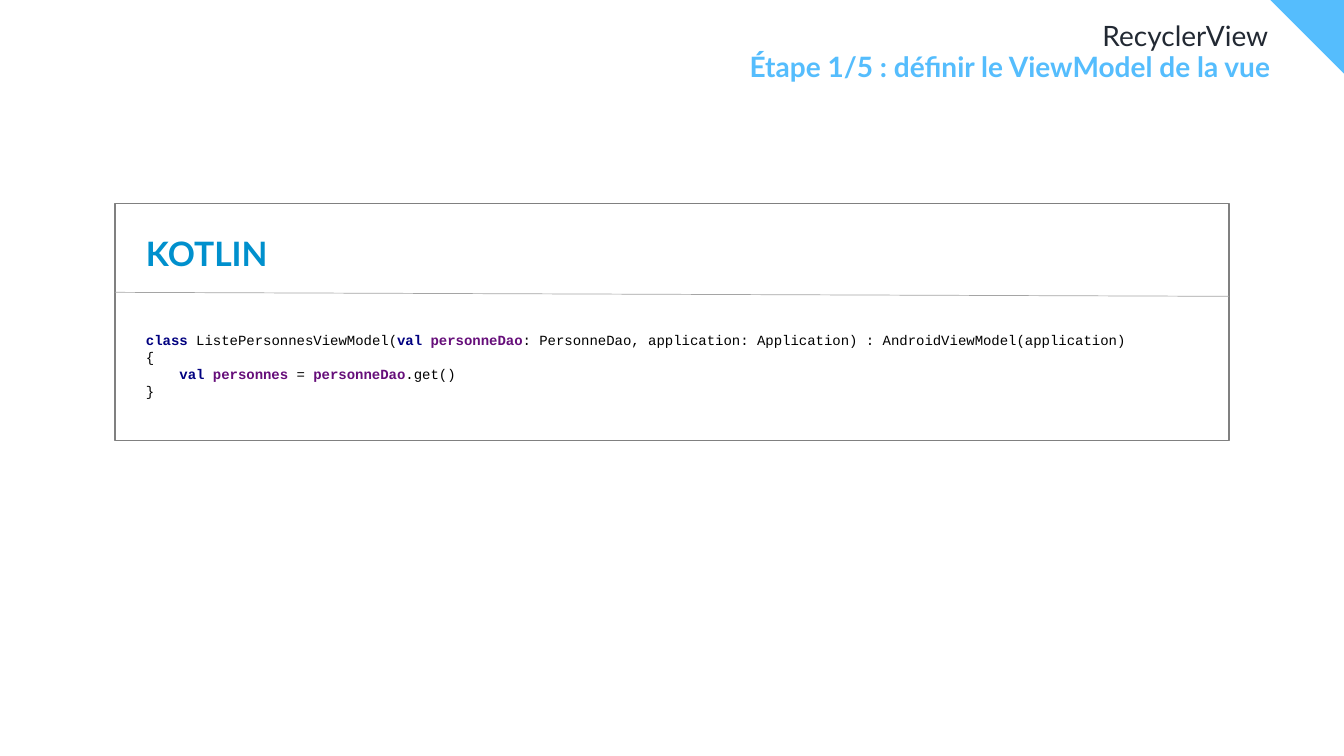
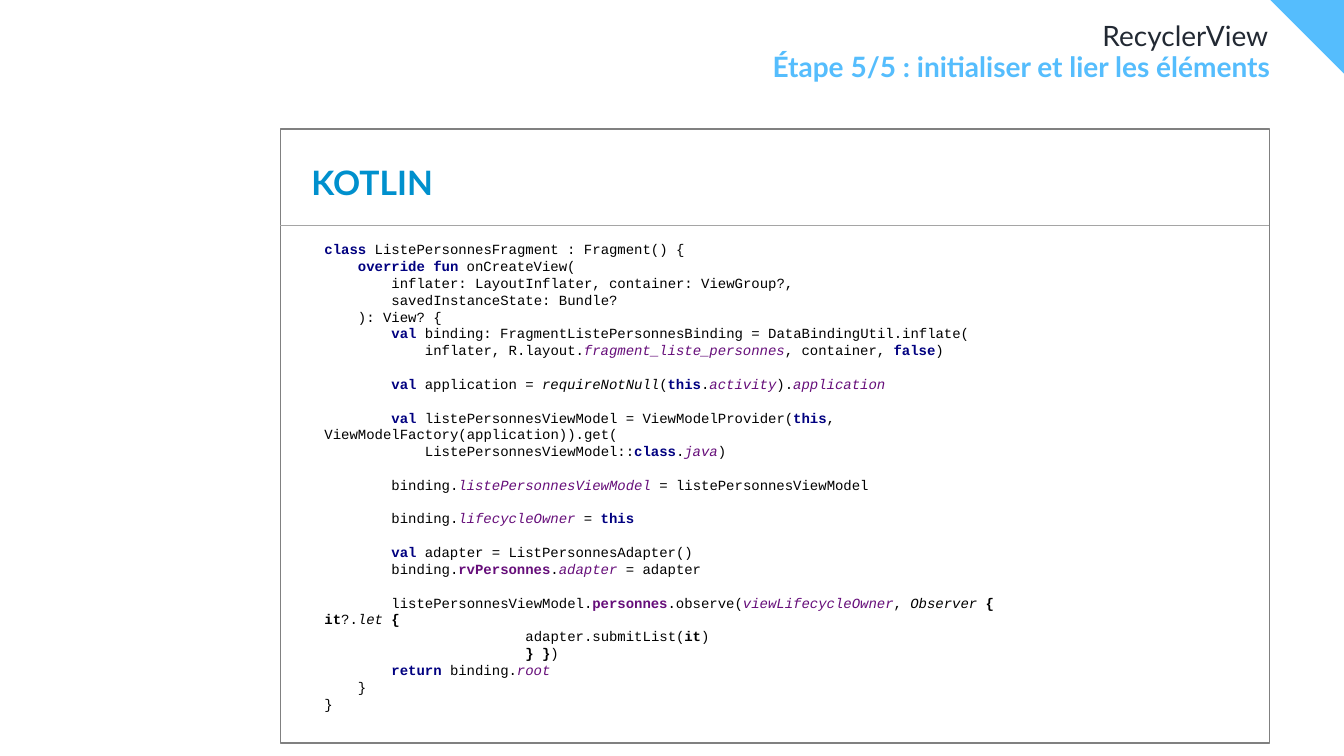
from lxml import etree
from pptx import Presentation
from pptx.dml.color import RGBColor
from pptx.enum.shapes import MSO_CONNECTOR, MSO_SHAPE
from pptx.enum.text import MSO_ANCHOR, MSO_AUTO_SIZE, PP_ALIGN
from pptx.oxml.ns import qn
from pptx.util import Inches, Pt

RIGHT = PP_ALIGN.RIGHT
LEFT = PP_ALIGN.LEFT
TOP = MSO_ANCHOR.TOP
MIDDLE = MSO_ANCHOR.MIDDLE
BOTTOM = MSO_ANCHOR.BOTTOM
NO_FIT = MSO_AUTO_SIZE.NONE
RECTANGLE = MSO_SHAPE.RECTANGLE
STRAIGHT = MSO_CONNECTOR.STRAIGHT

SKY = "55BDFD"
INK = "222933"
BLUE = "0090CD"
WHITE = "FFFFFF"
FRAME_GREY = "808080"
RULE_GREY = "A5A5A5"
BLACK = "000000"
NAVY = "000080"
PURPLE = "660E7A"

PLAIN = (BLACK, False, False)
STRONG = (BLACK, True, False)
CALL = (BLACK, False, True)
KEYWORD = (NAVY, True, False)
MEMBER = (PURPLE, True, False)
FIELD = (PURPLE, False, True)


def color(hex_string):
    return RGBColor.from_string(hex_string)


def style_paragraph(paragraph, font_name, size, hex_string=None, bold=None, align=LEFT):
    paragraph.alignment = align
    paragraph.font.name = font_name
    paragraph.font.size = Pt(size)
    if hex_string:
        paragraph.font.color.rgb = color(hex_string)
    paragraph.font.bold = bold


view_model_code = [
    (KEYWORD, "class "),
    (PLAIN, "ListePersonnesViewModel("),
    (KEYWORD, "val "),
    (MEMBER, "personneDao"),
    (PLAIN, ": PersonneDao, application: Application) : AndroidViewModel(application)\n{\n    "),
    (KEYWORD, "val "),
    (MEMBER, "personnes "),
    (PLAIN, "= "),
    (MEMBER, "personneDao"),
    (PLAIN, ".get()\n}"),
]

fragment_code = [
    (KEYWORD, "class "),
    (PLAIN, "ListePersonnesFragment : Fragment() {\n    "),
    (KEYWORD, "override fun "),
    (PLAIN, "onCreateView(\n        inflater: LayoutInflater, container: ViewGroup?,\n"
            "        savedInstanceState: Bundle?\n    ): View? {\n        "),
    (KEYWORD, "val "),
    (PLAIN, "binding: FragmentListePersonnesBinding = DataBindingUtil.inflate(\n"
            "            inflater, R.layout."),
    (FIELD, "fragment_liste_personnes"),
    (PLAIN, ", container, "),
    (KEYWORD, "false"),
    (PLAIN, ")\n\n        "),
    (KEYWORD, "val "),
    (PLAIN, "application = "),
    (CALL, "requireNotNull"),
    (PLAIN, "("),
    (KEYWORD, "this"),
    (PLAIN, "."),
    (FIELD, "activity"),
    (PLAIN, ")."),
    (FIELD, "application\n\n        "),
    (KEYWORD, "val "),
    (PLAIN, "listePersonnesViewModel = ViewModelProvider("),
    (KEYWORD, "this"),
    (PLAIN, ",\nViewModelFactory(application)).get(\n            ListePersonnesViewModel::"),
    (KEYWORD, "class"),
    (PLAIN, "."),
    (FIELD, "java"),
    (PLAIN, ")\n\n        binding."),
    (FIELD, "listePersonnesViewModel "),
    (PLAIN, "= listePersonnesViewModel\n\n        binding."),
    (FIELD, "lifecycleOwner "),
    (PLAIN, "= "),
    (KEYWORD, "this\n\n        val "),
    (PLAIN, "adapter = ListPersonnesAdapter()\n        binding."),
    (MEMBER, "rvPersonnes"),
    (PLAIN, "."),
    (FIELD, "adapter "),
    (PLAIN, "= adapter\n\n        listePersonnesViewModel."),
    (MEMBER, "personnes"),
    (PLAIN, ".observe("),
    (FIELD, "viewLifecycleOwner"),
    (PLAIN, ", "),
    (CALL, "Observer "),
    (STRONG, "{\nit"),
    (PLAIN, "?."),
    (CALL, "let "),
    (STRONG, "{\n"),
    (PLAIN, "                        adapter.submitList("),
    (STRONG, "it"),
    (PLAIN, ")\n                        "),
    (STRONG, "} }"),
    (PLAIN, ")\n        "),
    (KEYWORD, "return "),
    (PLAIN, "binding."),
    (FIELD, "root\n    "),
    (PLAIN, "}\n}"),
]

steps = [
    {
        "heading": "Étape 1/5 : définir le ViewModel de la vue",
        "frame": (1.14, 2.02, 11.05, 2.35),
        "rule": (2.9, 2.94),
        "label": (1.35, 2.07, 1.46, 0.69),
        "code_box": (1.35, 3.24, 10.2, 0.77),
        "code": view_model_code,
    },
    {
        "heading": "Étape 5/5 : initialiser et lier les éléments",
        "frame": (2.78, 1.28, 9.81, 6.09),
        "rule": (2.24, 2.24),
        "label": (2.99, 1.31, 1.46, 0.75),
        "code_box": (3.12, 2.32, 7.03, 4.81),
        "code": fragment_code,
    },
]

deck = Presentation()
deck.slide_width = Inches(13.33)
deck.slide_height = Inches(7.5)
layout = deck.slide_layouts[0]

heading_places = [(0.37, 0.22, 12.21, 0.31), (0.37, 0.53, 12.23, 0.43)]
for holder, place in zip(layout.placeholders, heading_places):
    holder.left, holder.top, holder.width, holder.height = map(Inches, place)

for number, step in enumerate(steps):
    slide = deck.slides.add_slide(layout)

    if number == 0:
        outline = slide.shapes.build_freeform(Inches(12.6), 0)
        outline.add_line_segments([(Inches(13.33), 0), (Inches(13.33), Inches(0.73))])
        corner = outline.convert_to_shape()
        corner.shadow.inherit = False
        corner.fill.solid()
        corner.fill.fore_color.rgb = color(SKY)
        corner.line.fill.background()
        layout.shapes.element.append(corner.element)

    headings = [("RecyclerView", INK, False), (step["heading"], SKY, True)]
    for holder, (words, hex_string, bold) in zip(slide.placeholders, headings):
        frame = holder.text_frame
        frame.text = words
        frame.margin_left = frame.margin_right = frame.margin_top = frame.margin_bottom = 0
        frame.vertical_anchor = TOP
        frame.word_wrap = True
        frame.auto_size = NO_FIT
        paragraph = frame.paragraphs[0]
        paragraph.line_spacing = 0.9
        paragraph.space_before = Pt(0)
        style_paragraph(paragraph, "Lato", 20, hex_string, bold, RIGHT)

    left, top, width, height = step["frame"]
    panel = slide.shapes.add_shape(RECTANGLE, *map(Inches, step["frame"]))
    panel.shadow.inherit = False
    panel.fill.solid()
    panel.fill.fore_color.rgb = color(WHITE)
    panel.line.color.rgb = color(FRAME_GREY)
    panel.line.width = Pt(1)

    start_y, end_y = step["rule"]
    rule = slide.shapes.add_connector(
        STRAIGHT, Inches(left), Inches(start_y), Inches(left + width), Inches(end_y))
    rule.line.color.rgb = color(RULE_GREY)
    rule.line.width = Pt(0.5)
    etree.SubElement(rule.element.spPr, qn("a:effectLst"))

    label = slide.shapes.add_textbox(*map(Inches, step["label"])).text_frame
    label.text = "KOTLIN"
    label.word_wrap = True
    label.vertical_anchor = BOTTOM
    style_paragraph(label.paragraphs[0], "Lato", 24, BLUE, True)

    listing = slide.shapes.add_textbox(*map(Inches, step["code_box"])).text_frame
    listing.word_wrap = True
    listing.vertical_anchor = MIDDLE
    lines = listing.paragraphs[0]
    style_paragraph(lines, "Courier New", 10)
    for (hex_string, bold, italic), words in step["code"]:
        for index, piece in enumerate(words.split("\n")):
            if index:
                lines.add_line_break()
            if piece:
                run = lines.add_run()
                run.text = piece
                run.font.color.rgb = color(hex_string)
                run.font.bold = bold
                run.font.italic = italic

deck.save("out.pptx")
